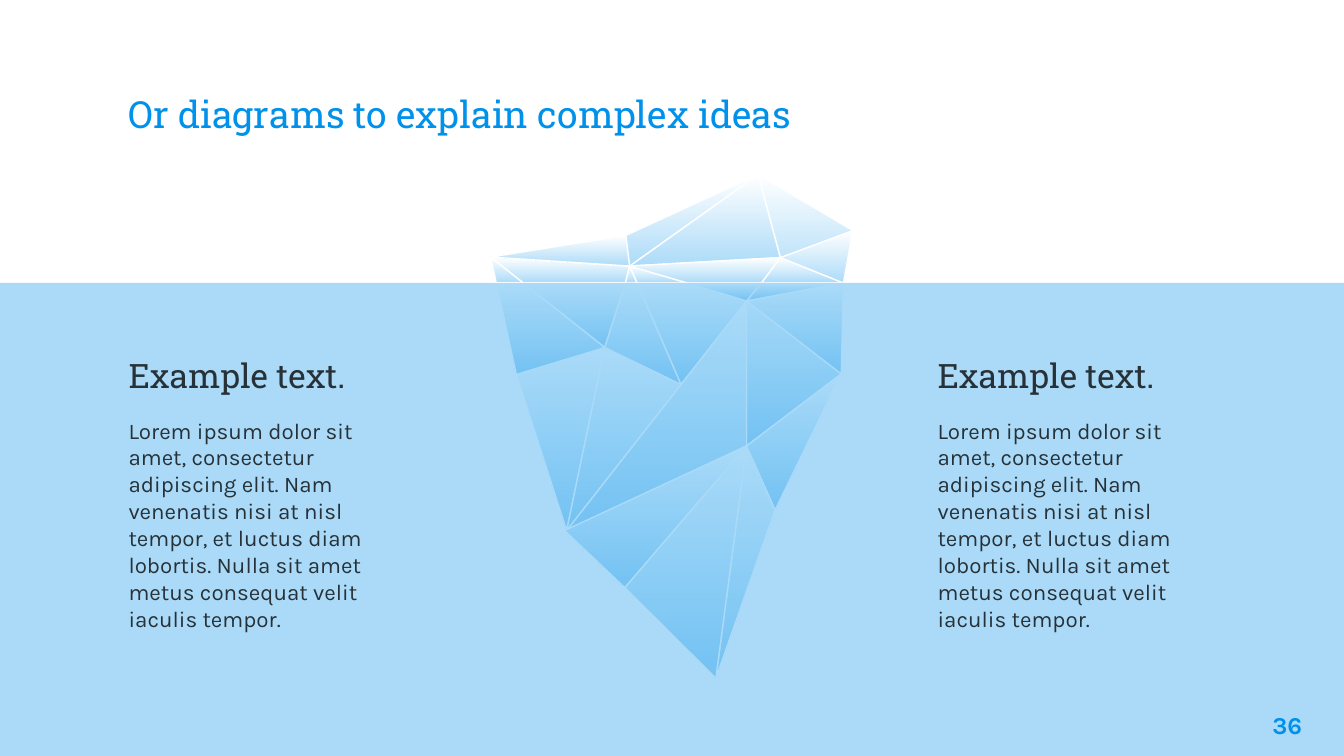
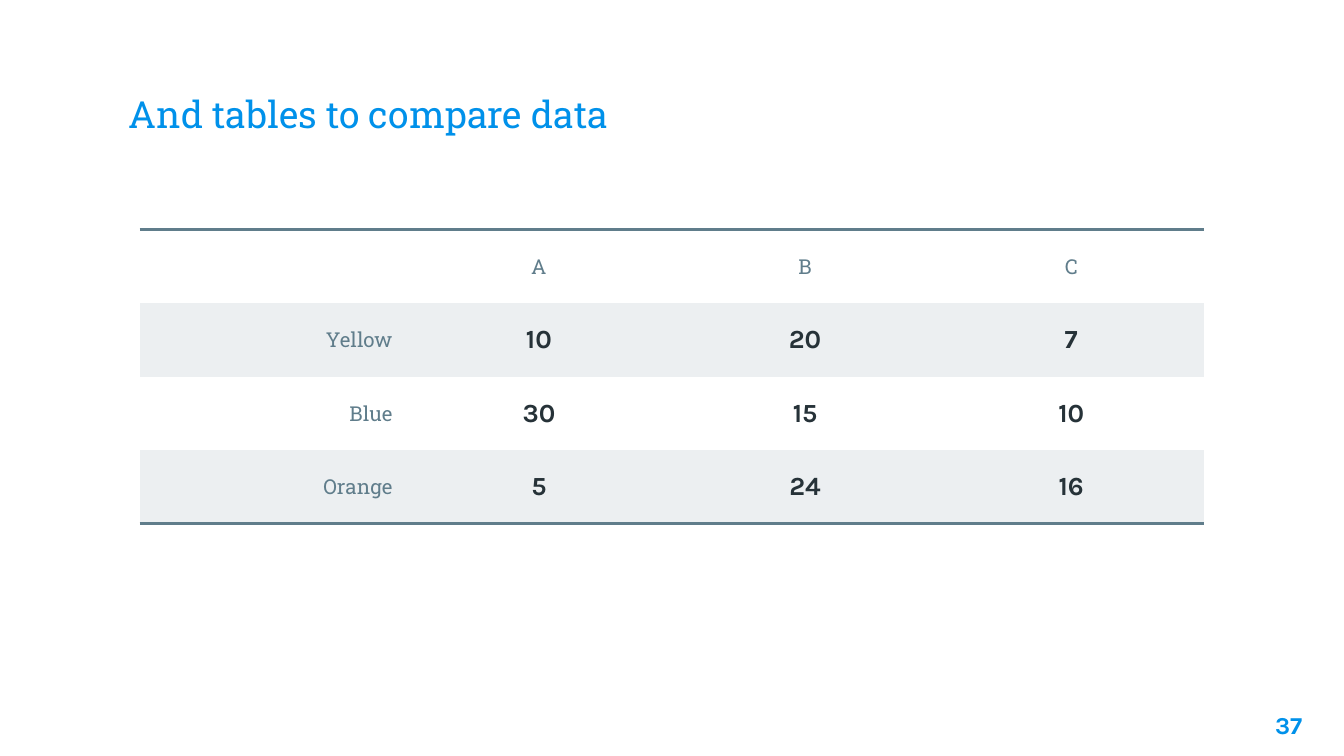
from lxml import etree
from pptx import Presentation
from pptx.dml.color import RGBColor
from pptx.enum.shapes import MSO_SHAPE
from pptx.enum.text import MSO_ANCHOR, MSO_AUTO_SIZE, PP_ALIGN
from pptx.oxml.ns import qn
from pptx.util import Cm, Pt

RECT = MSO_SHAPE.RECTANGLE
TOP, MID, LOW = MSO_ANCHOR.TOP, MSO_ANCHOR.MIDDLE, MSO_ANCHOR.BOTTOM
LEFT, CENTER, RIGHT = PP_ALIGN.LEFT, PP_ALIGN.CENTER, PP_ALIGN.RIGHT
FIXED = MSO_AUTO_SIZE.NONE

SLAB, KARLA = "Roboto Slab", "Karla"
BLUE, ICE, WHITE = "0091EA", "ACDBF8", "FFFFFF"
INK, SLATE, PALE = "263238", "607D8B", "ECEFF1"

WIDE, HIGH, WATER = 25.4, 14.29, 5.35
MARGIN = 2.18

LOREM = ("Lorem ipsum dolor sit amet, consectetur adipiscing elit. "
         "Nam venenatis nisi at nisl tempor, et luctus diam lobortis. "
         "Nulla sit amet metus consequat velit iaculis tempor.")

POINTS = {
    "A": (9.27, 4.86), "B": (9.89, WATER), "C": (15.94, WATER),
    "D": (14.33, 3.3), "E": (11.9, 5.03), "F": (14.75, 4.87),
    "G": (16.12, 4.36), "H": (9.38, WATER), "I": (11.82, WATER),
    "J": (11.83, 4.45), "K": (14.39, WATER), "L": (12.04, WATER),
    "M": (12.99, WATER), "N": (15.9, 7.07), "O": (14.11, 8.43),
    "P": (14.11, 5.69), "Q": (11.43, 6.57), "R": (10.71, 10.03),
    "S": (9.76, 7.08), "T": (13.53, 12.82), "U": (14.65, 9.64),
    "V": (12.87, 7.27), "W": (11.81, 11.11), "X": (10.67, 10.03),
}
FACETS = ("CAB DEF DGCF ABH EIBA DEAJ FCK LEM ABH JEA GFC LEI "
          "CNOP QRS IQB OUT CPK VLMP VQR PRO BQSH CPN QVLI XOW WTO NUO "
          "EFKM PKM").split()

ROWS = [
    ("", "A", "B", "C"),
    ("Yellow", "10", "20", "7"),
    ("Blue", "30", "15", "10"),
    ("Orange", "5", "24", "16"),
]


def rgb(code):
    """Turn a hex string into a colour."""
    return RGBColor.from_string(code)


def put(frame, text, size=12, font=KARLA, color=INK, bold=False,
        align=LEFT, before=0):
    """Add one formatted paragraph to a text frame."""
    para = frame.paragraphs[0]
    if para.runs:
        para = frame.add_paragraph()
    para.alignment = align
    para.space_before = Pt(before)
    run = para.add_run()
    run.text = text
    run.font.size, run.font.name, run.font.bold = Pt(size), font, bold
    run.font.color.rgb = rgb(color)


def fit(frame, anchor=TOP, pad=0.25):
    """Set wrapping, anchor and insets of a text frame."""
    frame.word_wrap = True
    frame.auto_size = FIXED
    frame.vertical_anchor = anchor
    frame.margin_left = frame.margin_right = Cm(0.25)
    frame.margin_top = frame.margin_bottom = Cm(pad)


def box(slide, x, y, w, h, pad=0.25):
    """Add an empty text box and return its frame."""
    frame = slide.shapes.add_textbox(Cm(x), Cm(y), Cm(w), Cm(h)).text_frame
    fit(frame, pad=pad)
    return frame


def page(deck, title, number):
    """Add a slide with its title and page number."""
    slide = deck.slides.add_slide(deck.slide_layouts[5])
    head = slide.shapes.title
    head.left, head.top = Cm(MARGIN), Cm(0.86)
    head.width, head.height = Cm(WIDE - 2 * MARGIN), Cm(1.96)
    fit(head.text_frame, LOW)
    put(head.text_frame, title, size=20, font=SLAB, color=BLUE)
    put(box(slide, 23.34, 13.18, 1.52, 1.09), str(number),
        size=13, color=BLUE, bold=True, align=RIGHT)
    return slide


def facet(group, names):
    """Draw one shaded face of the iceberg."""
    first, *rest = [(Cm(x), Cm(y)) for x, y in map(POINTS.get, names)]
    pen = group.shapes.build_freeform(*first)
    pen.add_line_segments(rest, close=True)
    face = pen.convert_to_shape()
    face.shadow.inherit = False
    face.fill.gradient()
    face.fill.gradient_angle = 270
    for stop, color in zip(face.fill.gradient_stops, (WHITE, ICE)):
        stop.color.rgb = rgb(color)
    face.line.color.rgb = rgb(WHITE)
    face.line.width = Pt(0.75)


def sea(slide):
    """Cover everything below the water line with clear blue."""
    band = slide.shapes.add_shape(
        RECT, 0, Cm(WATER), Cm(WIDE), Cm(HIGH - WATER))
    band.shadow.inherit = False
    band.line.fill.background()
    band.fill.solid()
    band.fill.fore_color.rgb = rgb(BLUE)
    tint = band.fill._xPr.find(qn("a:solidFill"))[0]
    etree.SubElement(tint, qn("a:alpha"), val="33000")


def note(slide, x):
    """Add a heading with a paragraph below it."""
    frame = box(slide, x, 6.58, 5.84, 6.73, pad=0.13)
    put(frame, "Example text.", size=18, font=SLAB)
    put(frame, LOREM, before=11.5)


def edge(cell, sides):
    """Rule the given sides of a cell and clear the others."""
    props = cell._tc.get_or_add_tcPr()
    for side in "LRTB":
        line = etree.SubElement(props, qn("a:ln" + side), w=str(Pt(1.5)))
        if side in sides:
            fill = etree.SubElement(line, qn("a:solidFill"))
            etree.SubElement(fill, qn("a:srgbClr"), val=SLATE)
        else:
            etree.SubElement(line, qn("a:noFill"))


def grid(slide, rows):
    """Add the table with striped rows and outer rules."""
    tall, wide = len(rows), len(rows[0])
    table = slide.shapes.add_table(
        tall, wide, Cm(2.64), Cm(4.34),
        Cm(5.03 * wide), Cm(1.39 * tall)).table
    table.first_row = table.horz_banding = False
    for r, row in enumerate(rows):
        for c, text in enumerate(row):
            cell = table.cell(r, c)
            edge(cell, {0: "T", tall - 1: "B"}.get(r, ""))
            if r % 2:
                cell.fill.solid()
                cell.fill.fore_color.rgb = rgb(PALE)
            else:
                cell.fill.background()
            cell.vertical_anchor = MID
            cell.margin_left = cell.margin_right = Cm(0.25)
            cell.margin_top = cell.margin_bottom = Cm(0.18)
            align = CENTER if c else RIGHT
            if r and c:
                put(cell.text_frame, text, size=14, bold=True, align=align)
            elif text:
                put(cell.text_frame, text, size=11, font=SLAB, color=SLATE,
                    align=align)


def main():
    """Build and save the deck."""
    deck = Presentation()
    deck.slide_width, deck.slide_height = Cm(WIDE), Cm(HIGH)

    slide = page(deck, "Or diagrams to explain complex ideas", 36)
    berg = slide.shapes.add_group_shape()
    for names in FACETS:
        facet(berg, names)
    sea(slide)
    for x in (MARGIN, 17.47):
        note(slide, x)
    mark = slide.shapes[1]._element
    mark.getparent().append(mark)

    slide = page(deck, "And tables to compare data", 37)
    grid(slide, ROWS)
    deck.save("out.pptx")


if __name__ == "__main__":
    main()
